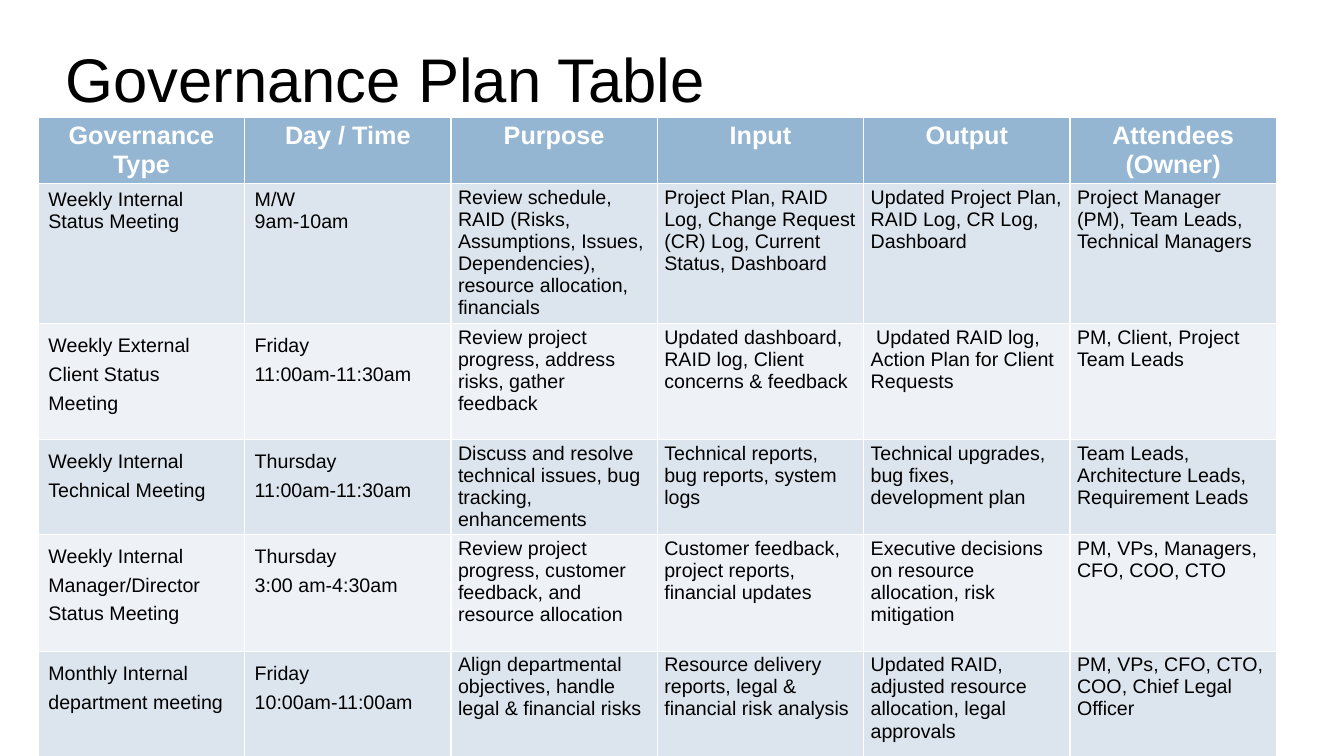
from dataclasses import dataclass

from pptx import Presentation
from pptx.dml.color import RGBColor
from pptx.enum.text import MSO_ANCHOR, PP_ALIGN
from pptx.util import Inches, Pt

LEFT, CENTER = PP_ALIGN.LEFT, PP_ALIGN.CENTER
TOP, MIDDLE = MSO_ANCHOR.TOP, MSO_ANCHOR.MIDDLE

TITLE = "Governance Plan Table"
HEADINGS = ["Governance Type", "Day / Time", "Purpose", "Input", "Output", "Attendees (Owner)"]
MEETINGS = [
    ["Weekly Internal Status Meeting", "M/W\n9am-10am",
     "Review schedule, RAID (Risks, Assumptions, Issues, Dependencies), resource allocation, financials",
     "Project Plan, RAID Log, Change Request (CR) Log, Current Status, Dashboard",
     "Updated Project Plan, RAID Log, CR Log, Dashboard",
     "Project Manager (PM), Team Leads, Technical Managers"],
    ["Weekly External Client Status Meeting", "Friday\n11:00am-11:30am",
     "Review project progress, address risks, gather feedback",
     "Updated dashboard, RAID log, Client concerns & feedback",
     " Updated RAID log, Action Plan for Client Requests",
     "PM, Client, Project Team Leads"],
    ["Weekly Internal Technical Meeting", "Thursday\n11:00am-11:30am",
     "Discuss and resolve technical issues, bug tracking, enhancements",
     "Technical reports, bug reports, system logs",
     "Technical upgrades, bug fixes, development plan",
     "Team Leads, Architecture Leads, Requirement Leads"],
    ["Weekly Internal Manager/Director Status Meeting", "Thursday\n3:00 am-4:30am",
     "Review project progress, customer feedback, and resource allocation",
     "Customer feedback, project reports, financial updates",
     "Executive decisions on resource allocation, risk mitigation",
     "PM, VPs, Managers, CFO, COO, CTO"],
    ["Monthly Internal department meeting", "Friday\n10:00am-11:00am",
     "Align departmental objectives, handle legal & financial risks",
     "Resource delivery reports, legal & financial risk analysis",
     "Updated RAID, adjusted resource allocation, legal approvals",
     "PM, VPs, CFO, CTO, COO, Chief Legal Officer"],
]
ROW_HEIGHTS = [0.65, 1.39, 1.15, 0.94, 1.16, 1.05]
SLIDE_WIDTH, SLIDE_HEIGHT = 13.33, 7.5
TABLE_LEFT, TABLE_WIDTH = 0.38, 12.28
TABLE_HEIGHT = sum(ROW_HEIGHTS)
TABLE_TOP = SLIDE_HEIGHT - TABLE_HEIGHT
TITLE_BOX = {"left": 0.57, "top": 0.26, "width": 10.93, "height": 1.19}
WIDE_MARGINS, NARROW_MARGINS = (0.1, 0.05), (0.07, 0.03)
LABEL_COLUMNS = 2


@dataclass(frozen=True)
class Theme:
    font: str = "Arial"
    ink: str = "000000"
    header_ink: str = "FFFFFF"
    header_fill: str = "94B6D2"
    bands: tuple = ("DCE5EE", "EEF2F7")
    title_size: int = 44
    header_size: int = 18
    body_size: int = 14


THEME = Theme()


def set_attributes(target, values):
    for name, value in values.items():
        setattr(target, name, value)


def format_text(frame, size, color, bold=False, alignment=LEFT, spacing=1.0):
    for paragraph in frame.paragraphs:
        set_attributes(paragraph, {"alignment": alignment, "line_spacing": spacing})
        for run in paragraph.runs:
            set_attributes(run.font, {"name": THEME.font, "size": Pt(size), "bold": bold})
            run.font.color.rgb = RGBColor.from_string(color)


def set_margins(target, horizontal, vertical):
    set_attributes(target, {
        "margin_left": Inches(horizontal), "margin_right": Inches(horizontal),
        "margin_top": Inches(vertical), "margin_bottom": Inches(vertical),
    })


def add_title(slide):
    title = slide.shapes.title
    set_attributes(title, {name: Inches(length) for name, length in TITLE_BOX.items()})
    title.text_frame.text = TITLE
    set_attributes(title.text_frame, {"word_wrap": True, "vertical_anchor": MIDDLE})
    set_margins(title.text_frame, 0.08, 0)
    format_text(title.text_frame, THEME.title_size, THEME.ink, spacing=0.75)


def fill_cell(cell, text, row, column):
    header = row == 0
    label = column < LABEL_COLUMNS
    fill = THEME.header_fill if header else THEME.bands[(row - 1) % len(THEME.bands)]
    cell.text = text
    cell.vertical_anchor = TOP
    cell.fill.solid()
    cell.fill.fore_color.rgb = RGBColor.from_string(fill)
    set_margins(cell, *(WIDE_MARGINS if header or label else NARROW_MARGINS))
    if header:
        format_text(cell.text_frame, THEME.header_size, THEME.header_ink, True, CENTER)
    else:
        spacing = 1.3 if label and row > 1 else 1.0
        format_text(cell.text_frame, THEME.body_size, THEME.ink, spacing=spacing)


def add_governance_table(slide):
    rows = [HEADINGS] + MEETINGS
    table = slide.shapes.add_table(
        len(rows), len(HEADINGS), Inches(TABLE_LEFT), Inches(TABLE_TOP),
        Inches(TABLE_WIDTH), Inches(TABLE_HEIGHT)).table
    for column in table.columns:
        column.width = Inches(TABLE_WIDTH / len(HEADINGS))
    for row, texts in enumerate(rows):
        table.rows[row].height = Inches(ROW_HEIGHTS[row])
        for column, text in enumerate(texts):
            fill_cell(table.cell(row, column), text, row, column)


def main():
    presentation = Presentation()
    set_attributes(presentation, {
        "slide_width": Inches(SLIDE_WIDTH), "slide_height": Inches(SLIDE_HEIGHT)})
    slide = presentation.slides.add_slide(presentation.slide_layouts.get_by_name("Title Only"))
    add_title(slide)
    add_governance_table(slide)
    presentation.save("out.pptx")


if __name__ == "__main__":
    main()
